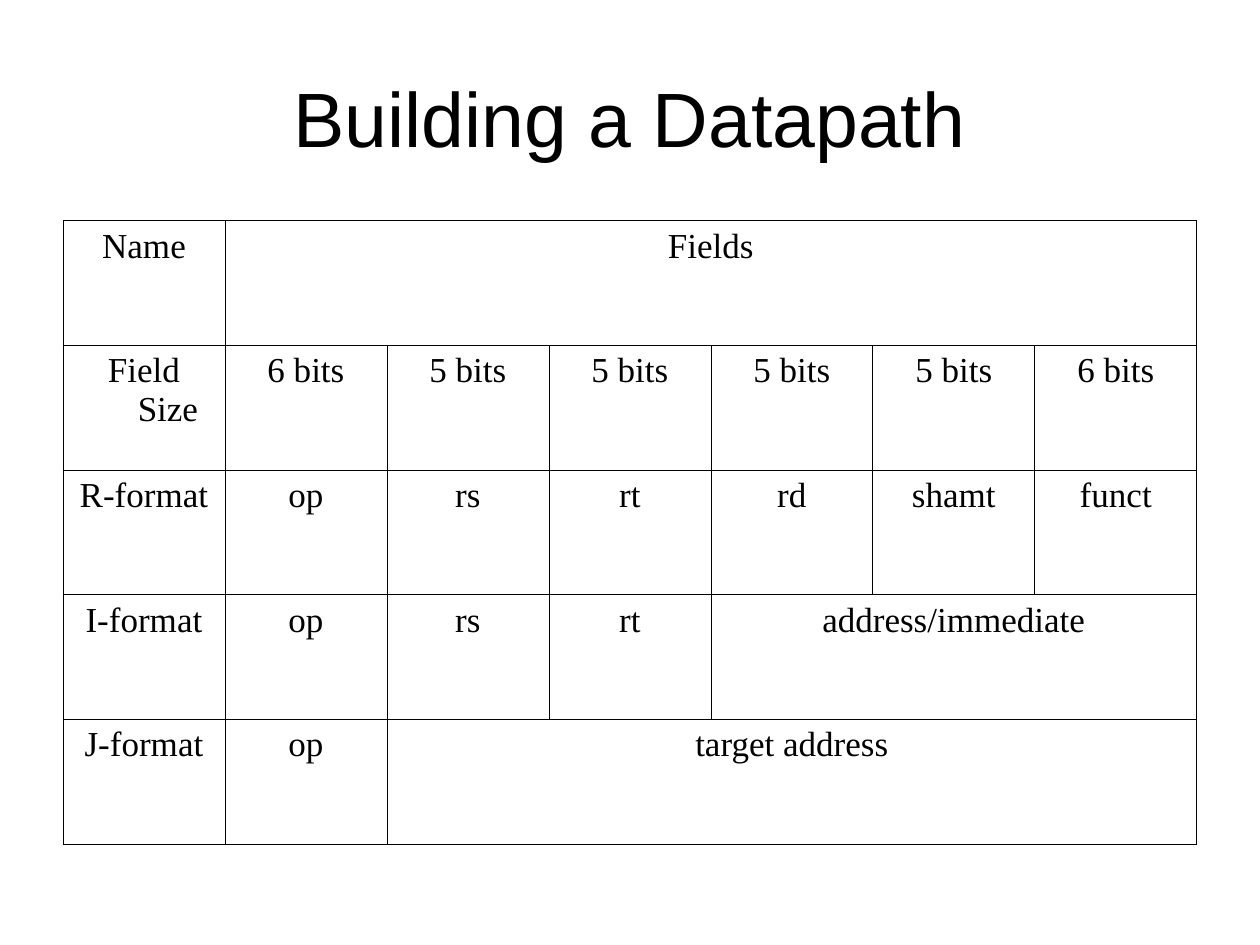
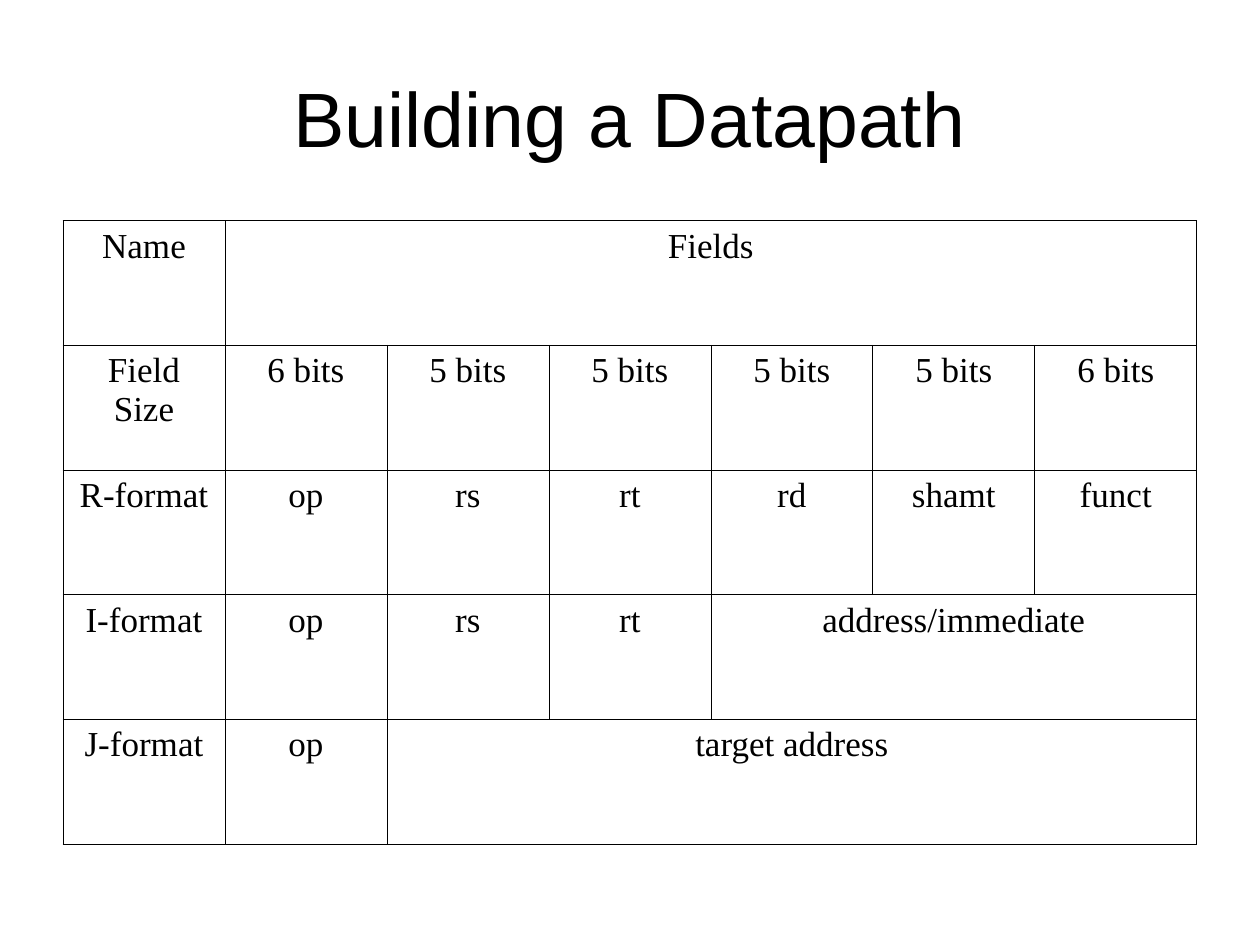
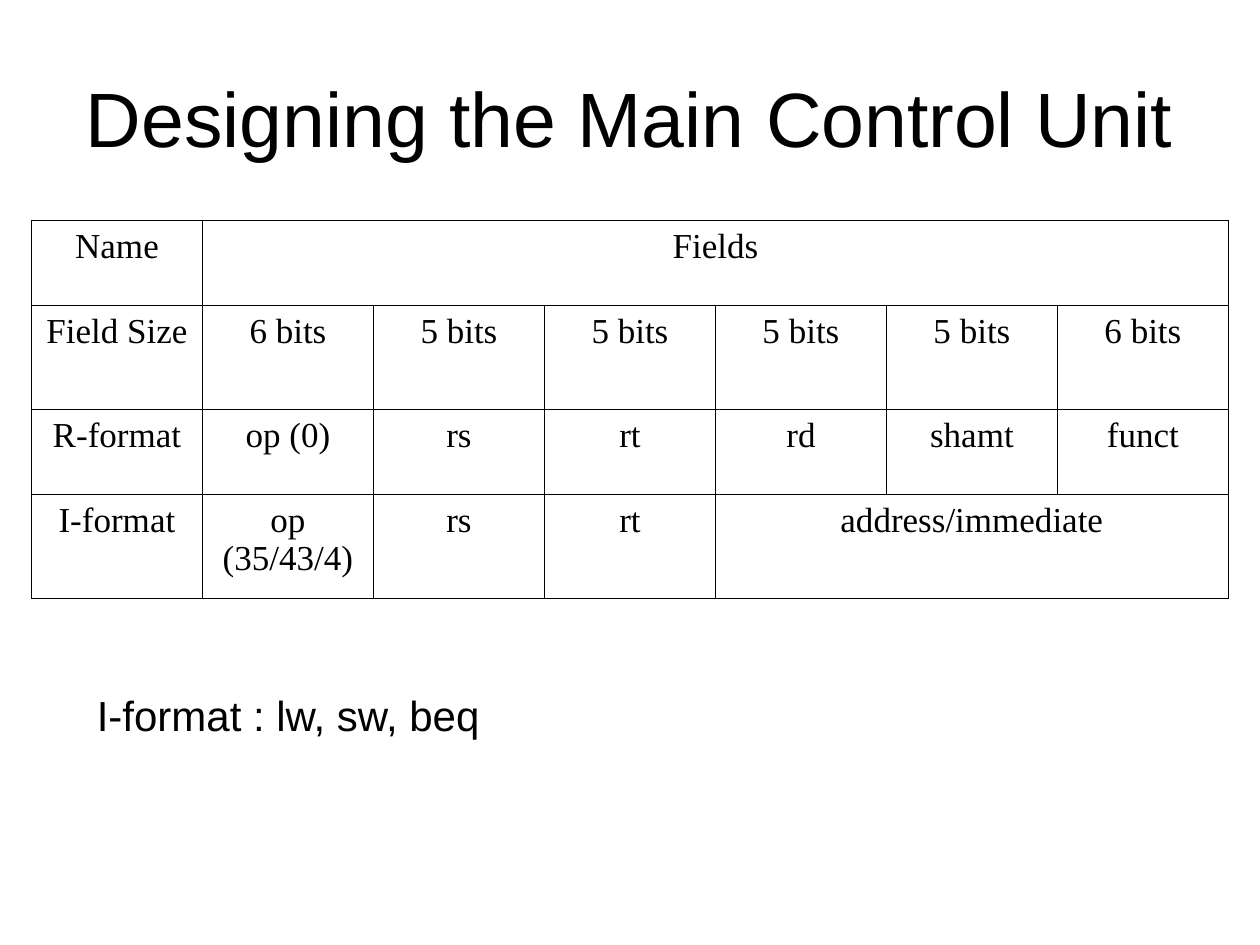
from lxml import etree
from pptx import Presentation
from pptx import util as u
from pptx.dml.color import RGBColor
from pptx.enum import text
from pptx.oxml.ns import qn

INK = RGBColor(0x00, 0x00, 0x00)
TITLE_FONT = "Arial"
TABLE_FONT = "Times New Roman"
SLIDE_W, SLIDE_H = u.Inches(10), u.Inches(7.5)
TITLE_ONLY = 5
TABLE_TOP = u.Inches(1.75)
BORDER = u.Pt(0.45)
HANG = u.Inches(0.38)

COLUMNS = 7
HEADER = [["Name", ("Fields", 6)],
          ["Field Size", "6 bits", *["5 bits"] * 4, "6 bits"]]
DATAPATH_FORMATS = HEADER + [
    ["R-format", "op", "rs", "rt", "rd", "shamt", "funct"],
    ["I-format", "op", "rs", "rt", ("address/immediate", 3)],
    ["J-format", "op", ("target address", 5)],
]
CONTROL_FORMATS = HEADER + [
    ["R-format", "op (0)", "rs", "rt", "rd", "shamt", "funct"],
    ["I-format", "op\n(35/43/4)", "rs", "rt", ("address/immediate", 3)],
]


def write(frame, words, size, font, align=text.PP_ALIGN.LEFT, hang=0):
    """Fill a text frame with one formatted paragraph per line of words."""
    frame.text = words
    frame.word_wrap = True
    for paragraph in frame.paragraphs:
        paragraph.alignment = align
        if hang:
            properties = paragraph._p.get_or_add_pPr()
            properties.set("marL", str(hang))
            properties.set("indent", str(-hang))
        for run in paragraph.runs:
            run.font.size = u.Pt(size)
            run.font.name = font
            run.font.color.rgb = INK


def add_titled_slide(deck, heading):
    """Add a title-only slide with its heading in the shared style."""
    slide = deck.slides.add_slide(deck.slide_layouts[TITLE_ONLY])
    title = slide.shapes.title
    title.left, title.top = int(SLIDE_W * 0.05), int(SLIDE_H * 0.04)
    title.width, title.height = int(SLIDE_W * 0.9), u.Inches(1.25)
    write(title.text_frame, heading, 44, TITLE_FONT, text.PP_ALIGN.CENTER)
    title.text_frame.vertical_anchor = text.MSO_ANCHOR.MIDDLE
    title.text_frame.auto_size = text.MSO_AUTO_SIZE.NONE
    return slide


def outline_cell(cell):
    """Rule all four sides of a cell and leave it unfilled."""
    properties = cell._tc.get_or_add_tcPr()
    for side in ("a:lnL", "a:lnR", "a:lnT", "a:lnB"):
        rule = etree.SubElement(properties, qn(side), w=str(BORDER))
        fill = etree.SubElement(rule, qn("a:solidFill"))
        etree.SubElement(fill, qn("a:srgbClr"), val=str(INK))
    cell.fill.background()


def add_format_table(slide, formats, margin, height, row_weights, hang=0):
    """Add an instruction-format table; a (words, span) pair is a merged field."""
    width = SLIDE_W - 2 * margin
    table = slide.shapes.add_table(
        len(formats), COLUMNS, margin, TABLE_TOP, width, height).table
    table.first_row = table.horz_banding = False
    for column in table.columns:
        column.width = width // COLUMNS
    for row, weight in zip(table.rows, row_weights):
        row.height = height * weight // sum(row_weights)
    for cell in table.iter_cells():
        outline_cell(cell)
    for row_index, fields in enumerate(formats):
        start = 0
        for field in fields:
            words, span = field if isinstance(field, tuple) else (field, 1)
            cell = table.cell(row_index, start)
            if span > 1:
                cell.merge(table.cell(row_index, start + span - 1))
            write(cell.text_frame, words, 20, TABLE_FONT,
                  text.PP_ALIGN.CENTER, hang)
            start += span


def add_note(slide, words):
    """Add a line of explanation below the table."""
    note = slide.shapes.add_textbox(
        u.Inches(0.67), u.Inches(5.42), u.Inches(6.83), u.Inches(0.5))
    write(note.text_frame, words, 24, TITLE_FONT)


def main():
    """Build the three slides and save them."""
    deck = Presentation()
    deck.slide_width, deck.slide_height = SLIDE_W, SLIDE_H

    for hang in (HANG, 0):
        datapath = add_titled_slide(deck, "Building a Datapath")
        add_format_table(datapath, DATAPATH_FORMATS, u.Inches(0.5),
                         u.Inches(4.95), [1] * 5, hang)

    control = add_titled_slide(deck, "Designing the Main Control Unit")
    add_format_table(control, CONTROL_FORMATS, u.Inches(0.25),
                     u.Inches(3), [9, 11, 9, 11])
    add_note(control, "I-format : lw, sw, beq")

    deck.save("out.pptx")


if __name__ == "__main__":
    main()
